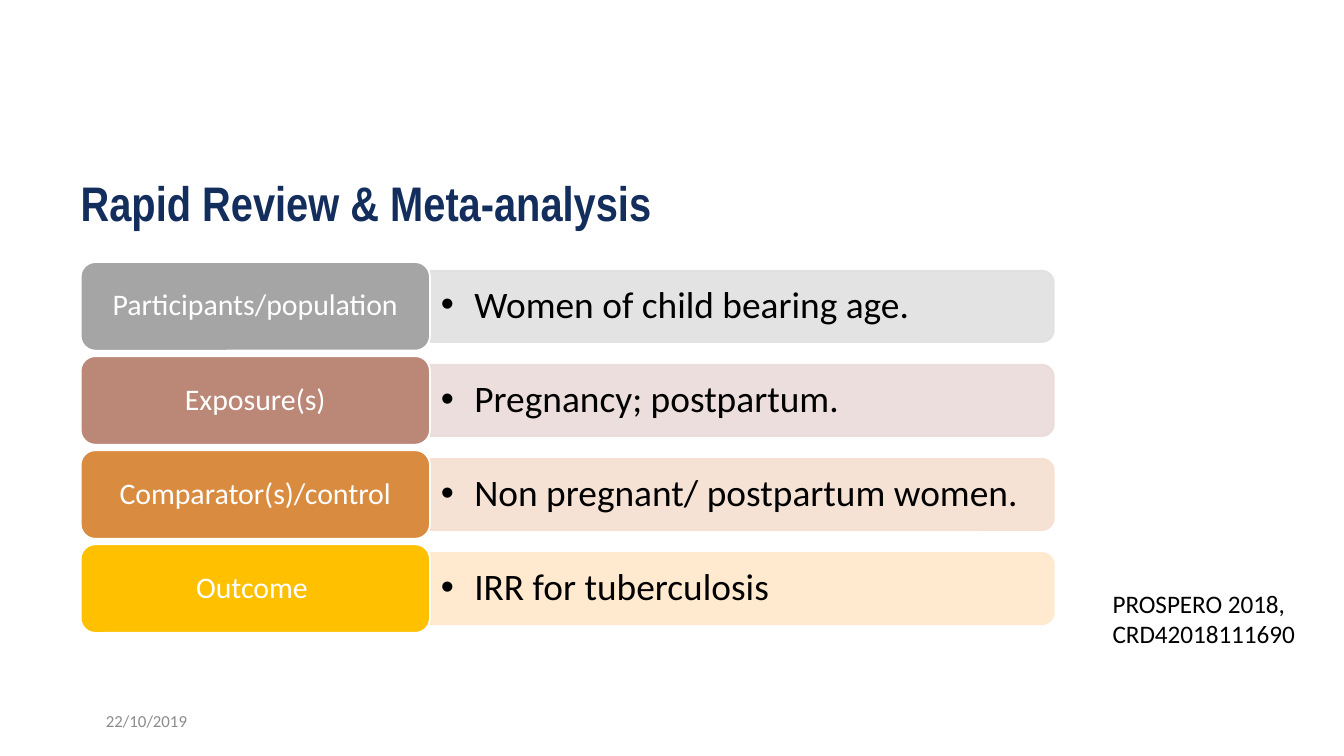
from lxml import etree
from pptx import Presentation
from pptx import util as u
from pptx.dml.color import RGBColor
from pptx.enum import shapes, text
from pptx.oxml.ns import qn

WIDTH = 10
HEIGHT = WIDTH * 9 / 16
MARGIN = 0.6
ROW_PITCH = 0.7
LABEL_WIDTH, LABEL_HEIGHT = 2.6, 0.66
BAND_HEIGHT = 0.53
BAND_OPACITY = 90000

NAVY = RGBColor(0x13, 0x2E, 0x5C)
BLACK = RGBColor(0, 0, 0)
WHITE = RGBColor(0xFF, 0xFF, 0xFF)
GREY = RGBColor(0x8C, 0x8C, 0x8C)

ROWS = [
    ("Participants/population", "Women of child bearing age.",
     RGBColor(0xA5, 0xA5, 0xA5), RGBColor(0xE1, 0xE1, 0xE1)),
    ("Exposure(s)", "Pregnancy; postpartum.",
     RGBColor(0xBB, 0x87, 0x76), RGBColor(0xEA, 0xDB, 0xD9)),
    ("Comparator(s)/control", "Non pregnant/ postpartum women.",
     RGBColor(0xD9, 0x8B, 0x3F), RGBColor(0xF6, 0xDF, 0xD1)),
    ("Outcome ", "IRR for tuberculosis",
     RGBColor(0xFF, 0xC0, 0x00), RGBColor(0xFF, 0xE8, 0xCB)),
]

TITLE_FONT = {"name": "Arial Narrow", "size": u.Pt(26), "bold": True}
LABEL_FONT = {"name": "Calibri", "size": u.Pt(16)}
DETAIL_FONT = {"name": "Calibri", "size": u.Pt(20)}
NOTE_FONT = {"name": "Calibri", "size": u.Pt(13.5)}
DATE_FONT = {"name": "Calibri", "size": u.Pt(9)}


def inches(box):
    return [u.Inches(length) for length in box]


def set_frame(shape, insets, anchor):
    frame = shape.text_frame
    horizontal, vertical = inches(insets)
    settings = {
        "word_wrap": True, "auto_size": text.MSO_AUTO_SIZE.NONE,
        "vertical_anchor": anchor,
        "margin_left": horizontal, "margin_right": horizontal,
        "margin_top": vertical, "margin_bottom": vertical,
    }
    for name, value in settings.items():
        setattr(frame, name, value)
    return frame


def write(frame, lines, font, color, alignment=text.PP_ALIGN.LEFT, spacing=1.0):
    for index, line in enumerate(lines):
        paragraph = frame.add_paragraph() if index else frame.paragraphs[0]
        paragraph.alignment = alignment
        paragraph.line_spacing = spacing
        run = paragraph.add_run()
        run.text = line
        for name, value in font.items():
            setattr(run.font, name, value)
        run.font.color.rgb = color


def add_text(slide, box, lines, font, color, anchor, insets=(0.1, 0.05), spacing=1.0):
    shape = slide.shapes.add_textbox(*inches(box))
    frame = set_frame(shape, insets, anchor)
    write(frame, lines, font, color, spacing=spacing)
    return frame


def add_block(slide, kind, box, fill, line):
    shape = slide.shapes.add_shape(kind, *inches(box))
    shape.shadow.inherit = False
    shape.fill.solid()
    shape.fill.fore_color.rgb = fill
    shape.line.color.rgb = line
    shape.line.width = u.Pt(1)
    return shape


def place_title(slide, box):
    title = slide.shapes.title
    title.left, title.top, title.width, title.height = inches(box)
    frame = set_frame(title, (0, 0), text.MSO_ANCHOR.TOP)
    write(frame, ["Rapid Review & Meta-analysis"], TITLE_FONT, NAVY)


def add_band(slide, box, color):
    left, top, width, height = box
    upright = (left + (width - height) / 2, top - (width - height) / 2, height, width)
    kind = shapes.MSO_SHAPE.ROUND_2_SAME_RECTANGLE
    band = add_block(slide, kind, upright, color, color)
    band.rotation = 90
    for element in band._element.spPr.iter(qn("a:srgbClr")):
        etree.SubElement(element, qn("a:alpha"), val=str(BAND_OPACITY))


def add_detail(slide, box, detail):
    frame = add_text(slide, box, [detail], DETAIL_FONT, BLACK,
                     text.MSO_ANCHOR.MIDDLE, (0.08, 0.04), 0.9)
    properties = frame.paragraphs[0]._p.get_or_add_pPr()
    properties.set("marL", str(u.Inches(0.25)))
    properties.set("indent", str(-u.Inches(0.25)))
    etree.SubElement(properties, qn("a:buFont"), typeface="Arial")
    etree.SubElement(properties, qn("a:buChar"), char="•")


def add_label(slide, box, label, color):
    shape = add_block(slide, shapes.MSO_SHAPE.ROUNDED_RECTANGLE, box, color, WHITE)
    frame = set_frame(shape, (0.1, 0.06), text.MSO_ANCHOR.MIDDLE)
    write(frame, [label], LABEL_FONT, WHITE, text.PP_ALIGN.CENTER, 0.9)


def add_review_rows(slide, box):
    left, top, width, _ = box
    band_left = left + LABEL_WIDTH
    band_width = width - LABEL_WIDTH
    for index, (label, detail, label_color, band_color) in enumerate(ROWS):
        row_top = top + index * ROW_PITCH
        band_top = row_top + (LABEL_HEIGHT - BAND_HEIGHT) / 2
        band_box = (band_left, band_top, band_width, BAND_HEIGHT)
        add_band(slide, band_box, band_color)
        add_detail(slide, band_box, detail)
        label_box = (left, row_top, LABEL_WIDTH, LABEL_HEIGHT)
        add_label(slide, label_box, label, label_color)


def main():
    presentation = Presentation()
    presentation.slide_width, presentation.slide_height = inches((WIDTH, HEIGHT))
    slide = presentation.slides.add_slide(presentation.slide_layouts[5])
    place_title(slide, (MARGIN, 1.29, 7.58, 0.53))
    add_review_rows(slide, (MARGIN, 1.95, 7.24, len(ROWS) * ROW_PITCH))
    add_text(slide, (8.18, 4.33, 1.65, 0.56), ["PROSPERO 2018,", "CRD42018111690"],
             NOTE_FONT, BLACK, text.MSO_ANCHOR.TOP)
    add_text(slide, (0.69, 5.21, 2.25, 0.3), ["22/10/2019"],
             DATE_FONT, GREY, text.MSO_ANCHOR.MIDDLE)
    presentation.save("out.pptx")


if __name__ == "__main__":
    main()
